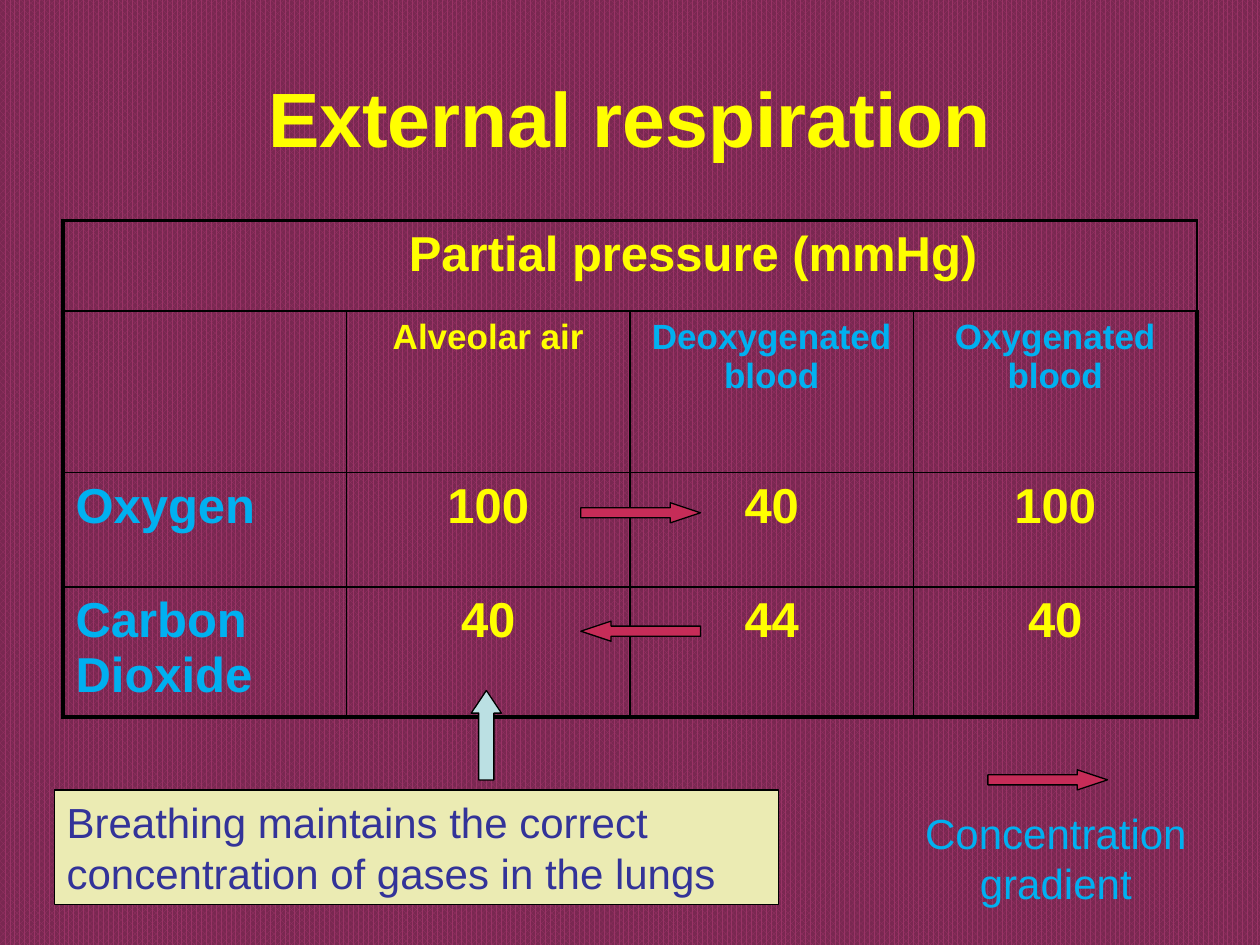
from dataclasses import dataclass

from lxml import etree
from pptx import Presentation
from pptx import util as u
from pptx.dml.color import RGBColor
from pptx.enum import dml, shapes, text
from pptx.oxml import ns

LEFT, CENTER = text.PP_ALIGN.LEFT, text.PP_ALIGN.CENTER
SHAPE = shapes.MSO_SHAPE


@dataclass(frozen=True)
class Theme:
    font: str = "Arial"
    stripe: str = "993366"
    back: str = "792851"
    yellow: str = "FFFF00"
    blue: str = "00B0F0"
    navy: str = "333399"
    cream: str = "EBEBB3"
    pale: str = "BBE0E3"
    red: str = "C62C58"
    line: str = "000000"
    title: int = 44
    large: int = 28
    body: int = 24
    small: int = 20
    thin: float = 1
    thick: float = 2.25


def rgb(code):
    return RGBColor.from_string(code)


def write(frame, words, size, color, font, bold=False, align=LEFT,
          anchor=text.MSO_ANCHOR.MIDDLE):
    frame.word_wrap = True
    frame.vertical_anchor = anchor
    para = frame.paragraphs[0]
    para.alignment = align
    run = para.add_run()
    run.text = words
    run.font.name = font
    run.font.size = u.Pt(size)
    run.font.bold = bold
    run.font.color.rgb = rgb(color)


def border(cell, side, width, color):
    """Draw one edge of a table cell; side is L, R, T or B."""
    edge = etree.SubElement(cell._tc.get_or_add_tcPr(), ns.qn(f"a:ln{side}"),
                            w=str(u.Pt(width)))
    fill = etree.SubElement(edge, ns.qn("a:solidFill"))
    etree.SubElement(fill, ns.qn("a:srgbClr"), val=color)


class Deck:
    def __init__(self, theme):
        self.theme = theme
        self.file = Presentation()
        self.file.slide_width = u.Inches(10)
        self.file.slide_height = u.Inches(7.5)
        self.slide = self.file.slides.add_slide(self.file.slide_layouts[5])
        fill = self.slide.background.fill
        fill.patterned()
        fill.pattern = dml.MSO_PATTERN.PERCENT_75
        fill.fore_color.rgb = rgb(theme.stripe)
        fill.back_color.rgb = rgb(theme.back)

    def title(self, words, *box):
        item = self.slide.shapes.title
        item.left, item.top, item.width, item.height = map(u.Inches, box)
        write(item.text_frame, words, self.theme.title, self.theme.yellow,
              self.theme.font, bold=True, align=CENTER)

    def shape(self, kind, fill, *box):
        item = self.slide.shapes.add_shape(kind, *map(u.Inches, box))
        item.shadow.inherit = False
        item.fill.solid()
        item.fill.fore_color.rgb = rgb(fill)
        item.line.color.rgb = rgb(self.theme.line)
        item.line.width = u.Pt(0.75)
        return item

    def arrow(self, kind, fill, head, *box):
        item = self.shape(kind, fill, *box)
        item.adjustments[0] = 0.5
        item.adjustments[1] = head

    def note(self, words, *box):
        item = self.shape(SHAPE.RECTANGLE, self.theme.cream, *box)
        write(item.text_frame, words, self.theme.body, self.theme.navy,
              self.theme.font)

    def label(self, words, *box):
        item = self.slide.shapes.add_textbox(*map(u.Inches, box))
        write(item.text_frame, words, self.theme.body, self.theme.blue,
              self.theme.font, align=CENTER)

    def table(self, rows, highs, *box):
        """Build a grid whose first row is one heading across all columns."""
        t = self.theme
        wide = len(rows[-1])
        grid = self.slide.shapes.add_table(
            len(rows), wide, *map(u.Inches, box)).table
        grid.first_row = grid.horz_banding = False
        for row, high in zip(grid.rows, highs):
            row.height = u.Inches(high)
        grid.cell(0, 0).merge(grid.cell(0, wide - 1))
        grid.cell(0, 0).margin_left = u.Inches(1.1)
        for r in range(len(rows)):
            for c in range(wide):
                cell = grid.cell(r, c)
                outer = {"L": c == 0, "R": c == wide - 1,
                         "T": r == 0, "B": r == len(rows) - 1}
                for side, edge in outer.items():
                    border(cell, side, t.thick if edge else t.thin, t.line)
                cell.fill.background()
                if c < len(rows[r]) and rows[r][c]:
                    blue = c == 0 < r or r == 1 and c > 1
                    write(cell.text_frame, rows[r][c],
                          t.small if r == 1 else t.large,
                          t.blue if blue else t.yellow, t.font, bold=True,
                          align=LEFT if c == 0 < r else CENTER)
                cell.vertical_anchor = text.MSO_ANCHOR.TOP


def main():
    theme = Theme()
    deck = Deck(theme)
    deck.title("External respiration", 0.5, 0.3, 9, 1.25)
    deck.table([
        ["Partial pressure (mmHg)"],
        ["", "Alveolar air", "Deoxygenated blood", "Oxygenated blood"],
        ["Oxygen", "100", "40", "100"],
        ["Carbon Dioxide", "40", "44", "40"],
    ], [0.72, 1.28, 0.91, 1.03], 0.5, 1.75, 9, 3.94)
    deck.note("Breathing maintains the correct concentration of gases "
              "in the lungs", 0.43, 6.27, 5.75, 0.91)
    deck.arrow(SHAPE.UP_ARROW, theme.pale, 0.75, 3.74, 5.48, 0.24, 0.71)
    for kind, left, top in [(SHAPE.LEFT_ARROW, 4.61, 4.93),
                            (SHAPE.RIGHT_ARROW, 4.61, 3.99),
                            (SHAPE.RIGHT_ARROW, 7.84, 6.11)]:
        deck.arrow(kind, theme.red, 1.5, left, top, 0.95, 0.16)
    deck.label("Concentration gradient", 7.2, 6.35, 2.36, 0.91)
    deck.file.save("out.pptx")


if __name__ == "__main__":
    main()
